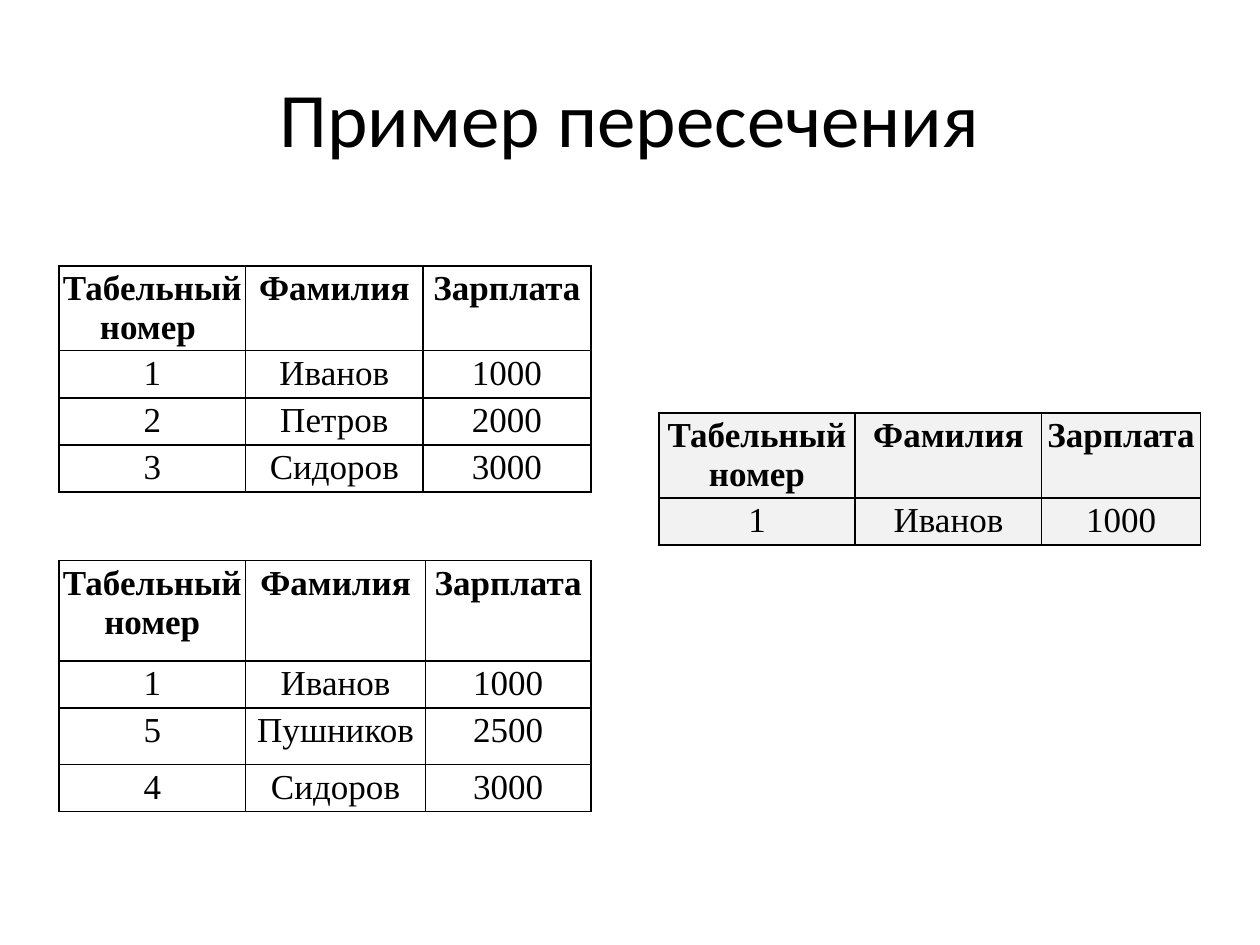
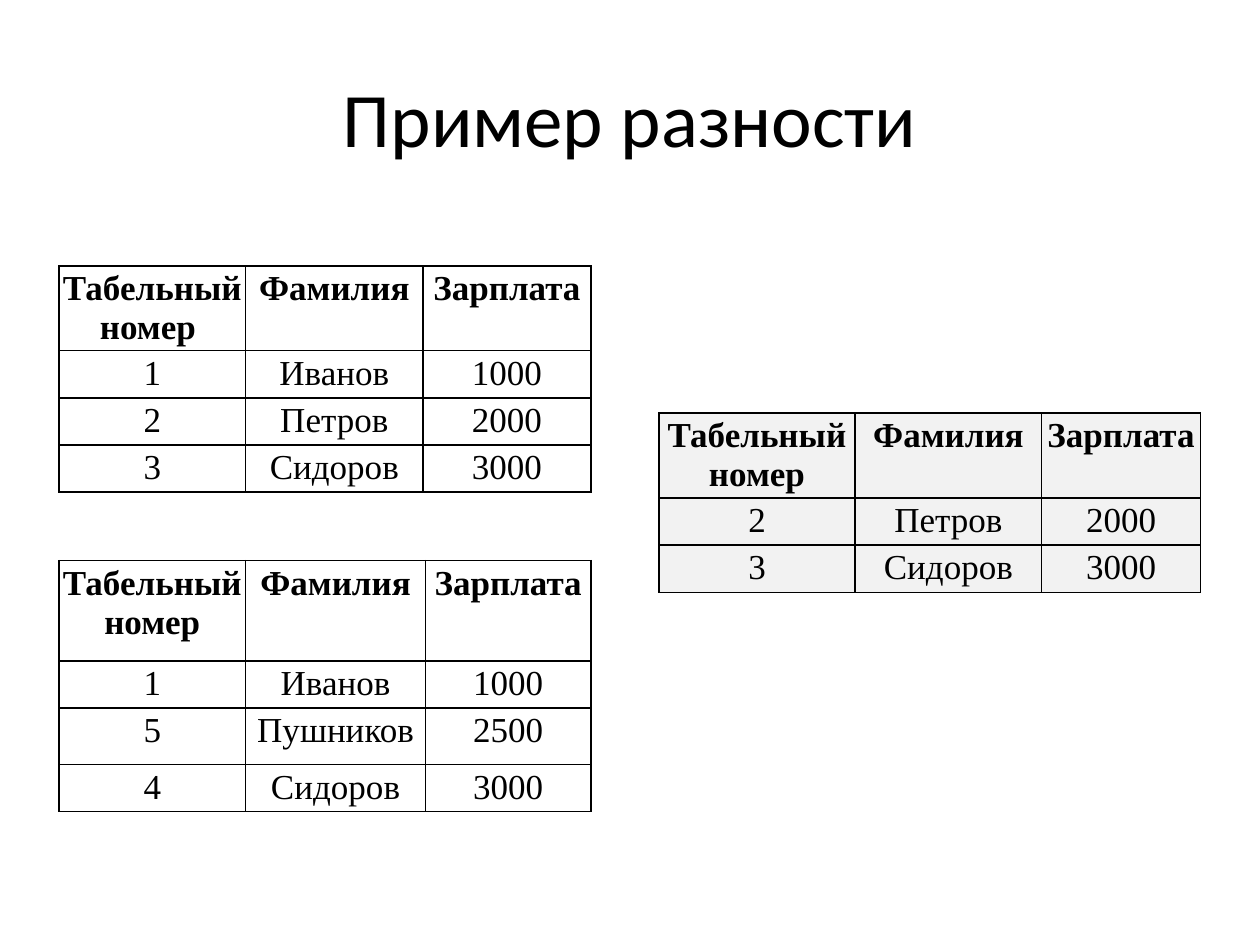
from lxml import etree
from pptx import Presentation
from pptx.dml.color import RGBColor
from pptx.enum.text import MSO_ANCHOR, PP_ALIGN
from pptx.oxml.ns import qn
from pptx.util import Cm, Pt

CENTER = PP_ALIGN.CENTER
MIDDLE = MSO_ANCHOR.MIDDLE

# Shared style
BLACK = RGBColor(0x00, 0x00, 0x00)
RESULT_GRAY = RGBColor(0xF2, 0xF2, 0xF2)
TITLE_FONT = "Calibri"
TABLE_FONT = "Times New Roman"
CELL_MARGIN = Cm(0.07)
HEADER_HEIGHT = 1.71
ROW_HEIGHT = 0.95

# Relations
HEADER = ("Табельный номер", "Фамилия", "Зарплата")
IVANOV = ("1", "Иванов", "1000")
PETROV = ("2", "Петров", "2000")
SIDOROV = ("3", "Сидоров", "3000")
FIRST = [("Табельный номер ", *HEADER[1:]), IVANOV, PETROV, SIDOROV]
SECOND = [HEADER, IVANOV, ("5", "Пушников", "2500"), ("4", "Сидоров", "3000")]
EXAMPLES = [
    ("Пример пересечения", [HEADER, IVANOV]),
    ("Пример разности", [HEADER, PETROV, SIDOROV]),
]


def format_text(tf, font_name, size, bold=False):
    p = tf.paragraphs[0]
    p.alignment = CENTER
    font = p.runs[0].font
    font.name = font_name
    font.size = Pt(size)
    font.bold = bold
    font.color.rgb = BLACK


def add_title(s, text):
    title = s.shapes.title
    title.left, title.top = Cm(1.27), Cm(0.76)
    title.width, title.height = Cm(22.86), Cm(3.18)
    tf = title.text_frame
    tf.text = text
    tf.vertical_anchor = MIDDLE
    format_text(tf, TITLE_FONT, 44)


def add_borders(cell):
    tc_pr = cell._tc.get_or_add_tcPr()
    for side in ("a:lnL", "a:lnR", "a:lnT", "a:lnB"):
        ln = etree.SubElement(tc_pr, qn(side), w=str(Pt(1)))
        fill = etree.SubElement(ln, qn("a:solidFill"))
        etree.SubElement(fill, qn("a:srgbClr"), val=str(BLACK))


def format_cell(cell, text, bold, color):
    cell.text = text
    cell.margin_left = cell.margin_right = CELL_MARGIN
    cell.margin_top = cell.margin_bottom = CELL_MARGIN
    format_text(cell.text_frame, TABLE_FONT, 20, bold)
    add_borders(cell)
    if color is None:
        cell.fill.background()
    else:
        cell.fill.solid()
        cell.fill.fore_color.rgb = color


def add_relation(s, left, top, widths, rows, heights=None, color=None):
    """Add a bordered table; sizes are in centimetres."""
    heights = heights or [HEADER_HEIGHT] + [ROW_HEIGHT] * (len(rows) - 1)
    table = s.shapes.add_table(len(rows), len(widths), Cm(left), Cm(top),
                               Cm(sum(widths)), Cm(sum(heights))).table
    table.first_row = table.horz_banding = False
    for column, width in zip(table.columns, widths):
        column.width = Cm(width)
    for i, (values, height) in enumerate(zip(rows, heights)):
        table.rows[i].height = Cm(height)
        for j, value in enumerate(values):
            format_cell(table.cell(i, j), value, i == 0, color)


def add_example(prs, title, result):
    s = prs.slides.add_slide(prs.slide_layouts[5])
    add_title(s, title)
    # Operands on the left
    add_relation(s, 1.19, 5.36, (3.76, 3.58, 3.38), FIRST)
    add_relation(s, 1.19, 11.3, (3.76, 3.63, 3.33), SECOND,
                 heights=(2.02, ROW_HEIGHT, 1.14, ROW_HEIGHT))
    # Result on the right
    add_relation(s, 13.28, 8.33, (3.96, 3.76, 3.2), result, color=RESULT_GRAY)


def main():
    prs = Presentation()
    prs.slide_width, prs.slide_height = Cm(25.4), Cm(19.05)
    for title, result in EXAMPLES:
        add_example(prs, title, result)
    prs.save("out.pptx")


if __name__ == "__main__":
    main()
